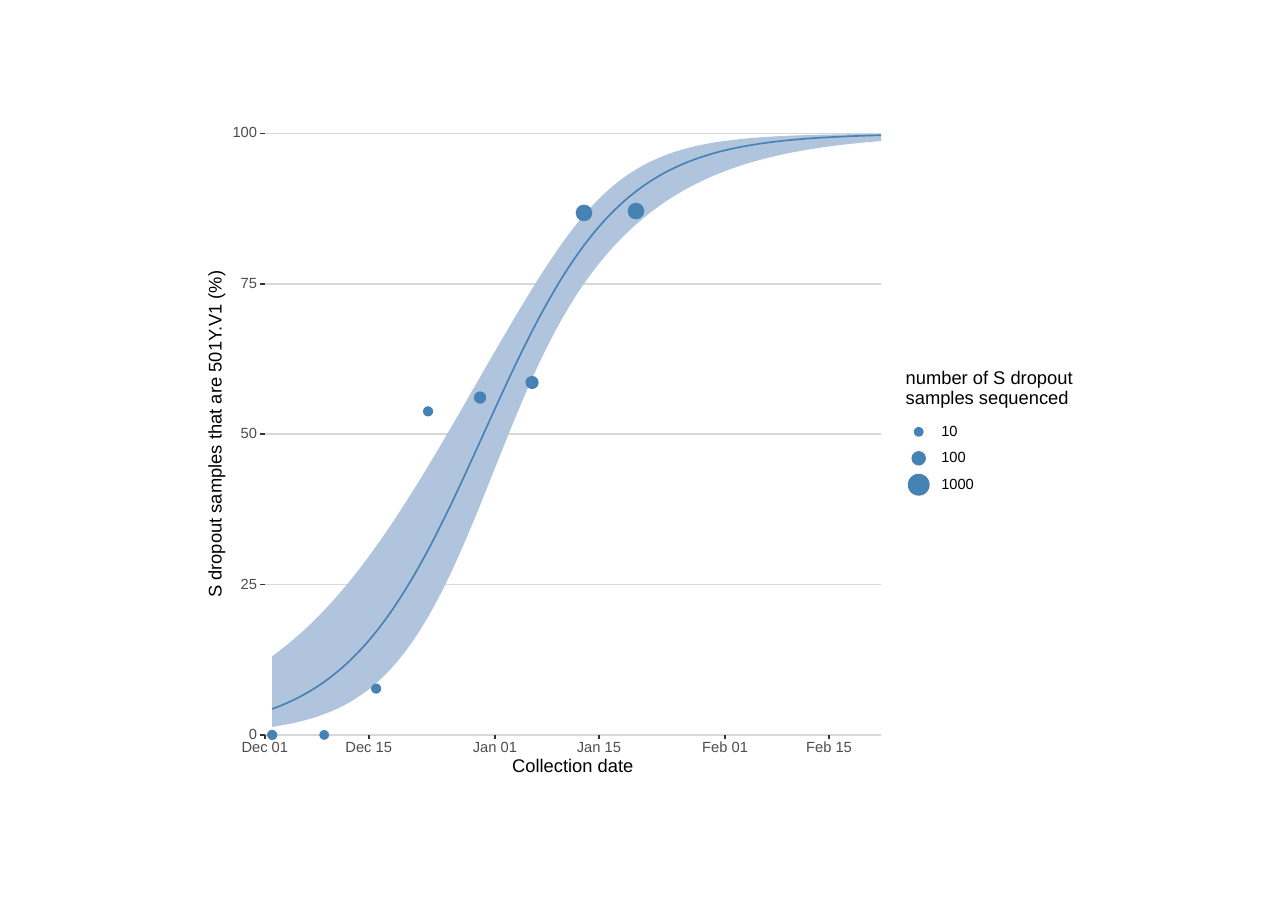
import math
import pptx
import pptx.util
import pptx.dml.color
import pptx.enum.shapes
import pptx.enum.text
import pptx.oxml
import pptx.oxml.ns
from pptx.util import Cm

BLUE, BAND, GRID, TICK, LABEL, BLACK = (
    "4682B4", "B0C4DE", "D8D8D8", "333333", "4D4D4D", "000000")
LAST_DAY = 83
TICK_LENGTH = 0.1
DATES = {0: "Dec 01", 14: "Dec 15", 31: "Jan 01", 45: "Jan 15", 62: "Feb 01", 76: "Feb 15"}
SAMPLES = [(1, 0, 0.21), (8, 0, 0.2), (15, 7.7, 0.21), (22, 53.8, 0.21),
           (29, 56.1, 0.26), (36, 58.6, 0.28), (43, 86.8, 0.36), (50, 87.1, 0.36)]
SIZE_KEYS = [("10", 0.2), ("100", 0.31), ("1000", 0.48)]


def colour(hex_string):
    return pptx.dml.color.RGBColor.from_string(hex_string)


def paint(shape, fill=None, line=None, width=1.07):
    shape.shadow.inherit = False
    for part, tone in ((shape.fill, fill), (shape.line.fill, line)):
        if tone:
            part.solid()
            part.fore_color.rgb = colour(tone)
        else:
            part.background()
    if line:
        shape.line.width = pptx.util.Pt(width)


def write(slide, text, x, y, width, align="CENTER", size=9.6, tone=LABEL,
          spacing=None, rotation=0):
    height = 0.5 * (text.count("\n") + 1)
    left = x - {"LEFT": 0, "CENTER": width / 2, "RIGHT": width}[align]
    box = slide.shapes.add_textbox(Cm(left), Cm(y - height / 2), Cm(width), Cm(height))
    box.rotation = rotation
    frame = box.text_frame
    frame.word_wrap = True
    frame.vertical_anchor = pptx.enum.text.MSO_ANCHOR.MIDDLE
    frame.margin_left = frame.margin_right = frame.margin_top = frame.margin_bottom = 0
    frame.text = text
    for paragraph in frame.paragraphs:
        paragraph.alignment = getattr(pptx.enum.text.PP_ALIGN, align)
        paragraph.line_spacing = pptx.util.Pt(spacing or size)
        paragraph.font.name = "Arial"
        paragraph.font.size = pptx.util.Pt(size)
        paragraph.font.color.rgb = colour(tone)


def rule(slide, x1, y1, x2, y2, tone):
    line = slide.shapes.add_connector(
        pptx.enum.shapes.MSO_CONNECTOR.STRAIGHT, Cm(x1), Cm(y1), Cm(x2), Cm(y2))
    line.line.color.rgb = colour(tone)
    line.line.width = pptx.util.Pt(1.07)
    line._element.spPr.append(pptx.oxml.parse_xml(
        "<a:effectLst %s/>" % pptx.oxml.ns.nsdecls("a")))


def dot(slide, x, y, size):
    circle = slide.shapes.add_shape(
        pptx.enum.shapes.MSO_SHAPE.OVAL,
        Cm(x - size / 2), Cm(y - size / 2), Cm(size), Cm(size))
    paint(circle, BLUE, BLUE, 0.71)


def outline(slide, points, close, **look):
    corners = [(Cm(x), Cm(y)) for x, y in points]
    builder = slide.shapes.build_freeform(*corners[0])
    builder.add_line_segments(corners[1:], close=close)
    paint(builder.convert_to_shape(), **look)


def fitted_share(day, side=0):
    margin = math.sqrt(0.113 + 0.001 * (day - 37.65) ** 2)
    return 100 / (1 + math.exp(-0.109 * (day - 29.45) - side * margin))


def growth_plot(slide, left, top, width, height):
    bottom = top + height

    def place(day, share):
        return left + width * day / LAST_DAY, bottom - height * share / 100

    for share in range(0, 101, 25):
        y = place(0, share)[1]
        rule(slide, left, y, left + width, y, GRID)

    days = range(1, LAST_DAY + 1)
    upper, fit, lower = ([place(day, fitted_share(day, side)) for day in days]
                         for side in (1, 0, -1))
    outline(slide, upper + lower[::-1], True, fill=BAND)
    outline(slide, fit, False, line=BLUE)
    for day, share, size in SAMPLES:
        dot(slide, *place(day, share), size)

    for share in range(0, 101, 25):
        y = place(0, share)[1]
        rule(slide, left - TICK_LENGTH, y, left, y, TICK)
        write(slide, str(share), left - 0.18, y, 1, align="RIGHT")
    for day, date in DATES.items():
        x = place(day, 0)[0]
        rule(slide, x, bottom, x, bottom + TICK_LENGTH, TICK)
        write(slide, date, x, bottom + 0.3, 2)
    write(slide, "Collection date", left + width / 2, bottom + 0.73, 4,
          size=12, tone=BLACK)
    write(slide, "S dropout samples that are 501Y.V1 (%)", left - 1.12,
          top + height / 2, 9, size=12, tone=BLACK, rotation=270)


def size_legend(slide, left, top, width):
    write(slide, "number of S dropout\nsamples sequenced", left, top + 0.5, width,
          align="LEFT", size=12, tone=BLACK, spacing=13)
    for row, (count, size) in enumerate(SIZE_KEYS):
        y = top + 1.51 + 0.61 * row
        dot(slide, left + 0.3, y, size)
        write(slide, count, left + 0.82, y, 1.5, align="LEFT", tone=BLACK)


deck = pptx.Presentation()
deck.slide_width, deck.slide_height = Cm(29.72), Cm(21.01)
variant_slide = deck.slides.add_slide(deck.slide_layouts[6])
growth_plot(variant_slide, 6.11, 3.08, 14.22, 13.87)
size_legend(variant_slide, 20.9, 8.45, 4.5)
deck.save("out.pptx")
